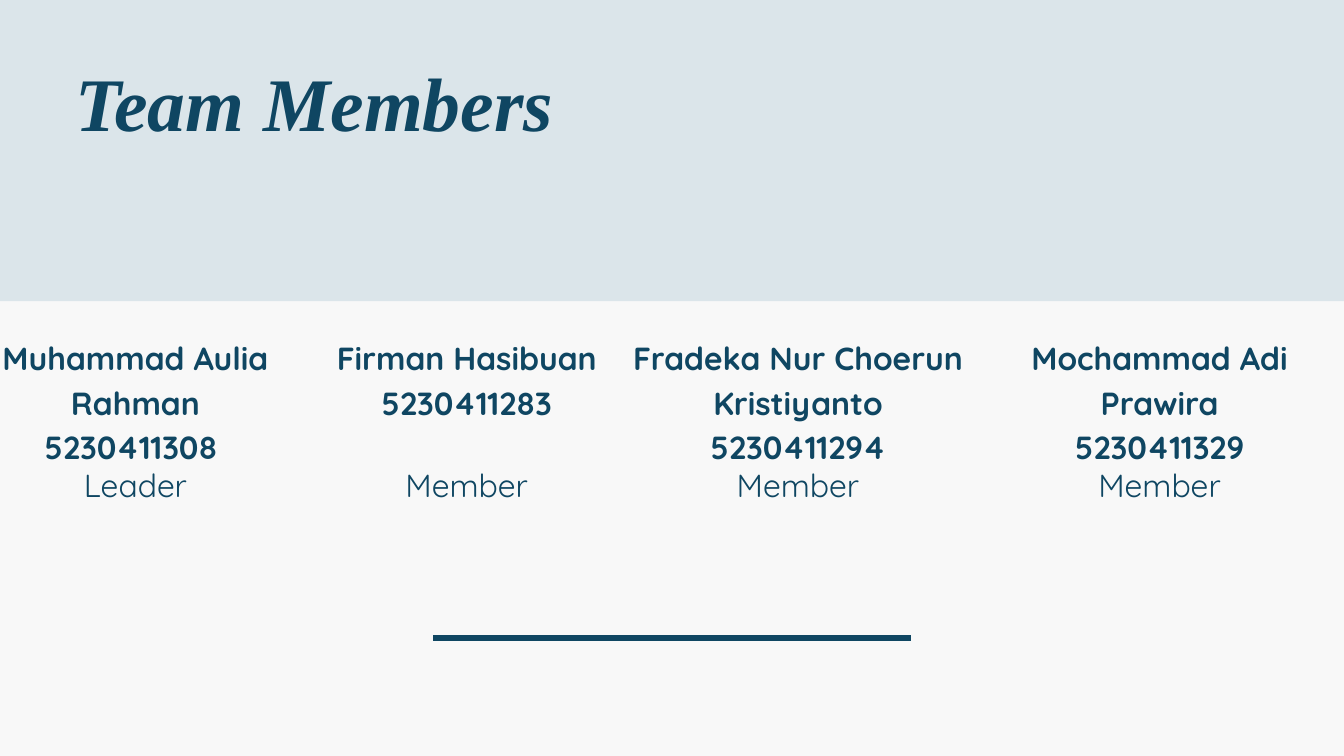
from lxml.etree import SubElement
from pptx import Presentation
from pptx.dml.color import RGBColor
from pptx.enum.shapes import MSO_CONNECTOR as CONN, MSO_SHAPE as SHAPE
from pptx.enum.text import MSO_AUTO_SIZE as AUTO, PP_ALIGN as ALIGN
from pptx.oxml.ns import qn
from pptx.util import Inches, Pt

NAVY = RGBColor(0x0F, 0x46, 0x62)
MIST = RGBColor(0xDB, 0xE5, 0xEA)
PAPER = RGBColor(0xF8, 0xF8, 0xF8)

CARD_WIDTH = 5.49
MEMBERS = [
    (-0.73, "Muhammad Aulia Rahman", "5230411308 ", "Leader", 1.94),
    (4.2, "Firman Hasibuan", "5230411283", "Member", 1.28),
    (9.13, "Fradeka Nur Choerun Kristiyanto", "5230411294", "Member", 1.94),
    (14.51, "Mochammad Adi Prawira", "5230411329", "Member", 1.94),
]


class TeamSlide:
    title_font = "Times New Roman"
    body_font = "Quicksand"
    body_size = 34.2
    leading = 1.4

    def __init__(self, prs):
        self.s = prs.slides.add_slide(prs.slide_layouts[6])
        fill = self.s.background.fill
        fill.solid()
        fill.fore_color.rgb = PAPER

    def band(self, x, y, w, h):
        sp = self.s.shapes.add_shape(
            SHAPE.RECTANGLE, Inches(x), Inches(y), Inches(w), Inches(h))
        sp.shadow.inherit = False
        sp.fill.solid()
        sp.fill.fore_color.rgb = MIST
        sp.line.fill.background()

    def text(self, x, y, w, h, lines, font=body_font, size=body_size,
             bold=False, italic=False, align=ALIGN.CENTER):
        sp = self.s.shapes.add_textbox(Inches(x), Inches(y), Inches(w), Inches(h))
        tf = sp.text_frame
        tf.word_wrap = True
        tf.auto_size = AUTO.SHAPE_TO_FIT_TEXT
        tf.margin_left = tf.margin_right = tf.margin_top = tf.margin_bottom = 0
        tf.text = "\n".join(lines)
        for p in tf.paragraphs:
            p.alignment = align
            p.line_spacing = Pt(round(size * self.leading, 1))
            p.font.name = font
            p.font.size = Pt(size)
            p.font.bold = bold
            p.font.italic = italic
            p.font.color.rgb = NAVY

    def title(self, x, y, w, h, words):
        self.text(x, y, w, h, [words], self.title_font, 81,
                  bold=True, italic=True, align=ALIGN.LEFT)

    def member(self, x, name, number, role, height):
        self.text(x, 4.94, CARD_WIDTH, height, [name, number], bold=True)
        self.text(x, 6.83, CARD_WIDTH, 0.62, [role])

    def rule(self, x1, x2, y):
        line = self.s.shapes.add_connector(
            CONN.STRAIGHT, Inches(x1), Inches(y), Inches(x2), Inches(y))
        line.line.color.rgb = NAVY
        line.line.width = Pt(6)
        SubElement(line._element.spPr, qn("a:effectLst"))


def main():
    prs = Presentation()
    prs.slide_width = Inches(20)
    prs.slide_height = Inches(11.25)

    slide = TeamSlide(prs)
    slide.band(0, 0, 20, 4.48)
    slide.title(1.12, 0.61, 10.84, 1.51, "Team Members")
    for member in MEMBERS:
        slide.member(*member)
    slide.rule(6.45, 13.55, 9.49)

    prs.save("out.pptx")


if __name__ == "__main__":
    main()
